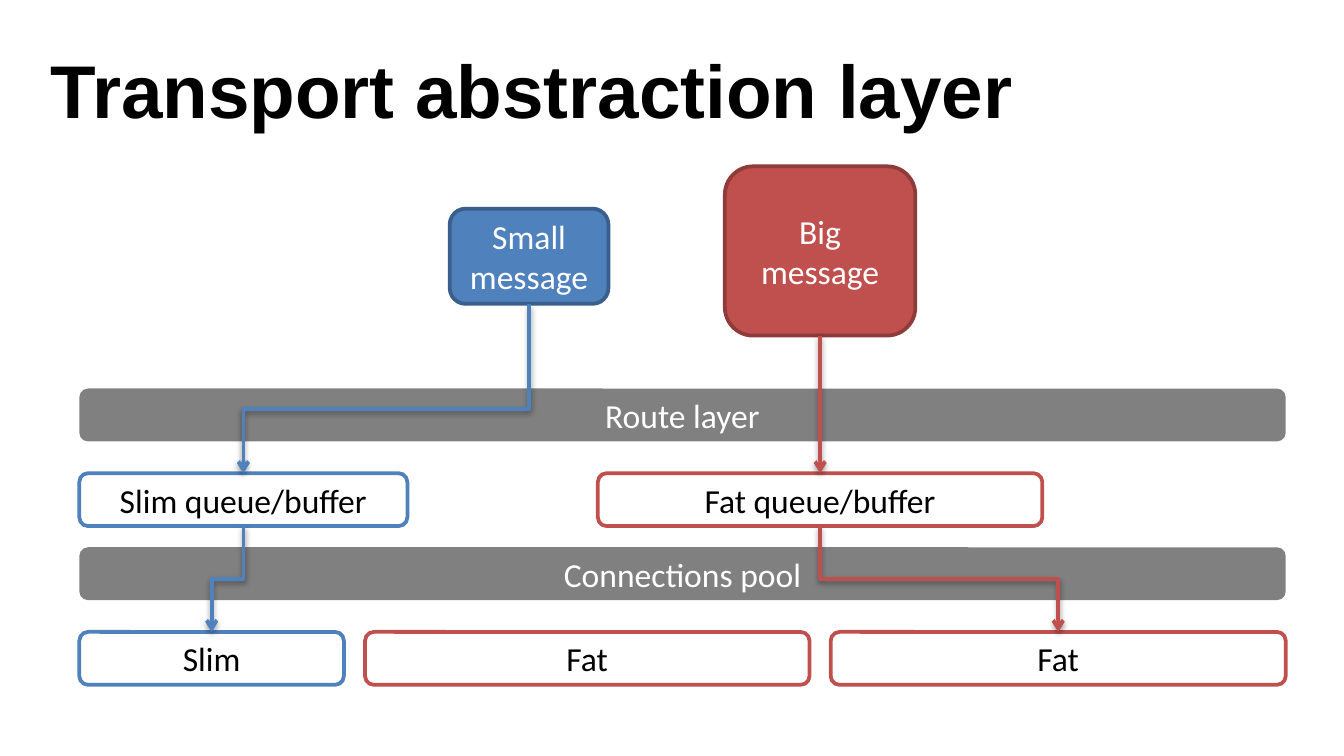
"""Build the transport abstraction layer diagram slide."""
from dataclasses import dataclass

import lxml.etree
import pptx
import pptx.dml.color
import pptx.enum.shapes
import pptx.enum.text
import pptx.oxml
import pptx.oxml.ns
import pptx.util


@dataclass(frozen=True)
class Theme:
    white: str = "FFFFFF"
    black: str = "000000"
    grey: str = "808080"
    blue: str = "4F81BD"
    dark_blue: str = "3A5F8C"
    red: str = "C0504D"
    dark_red: str = "8E3B39"
    title_font: str = "Arial"
    body_font: str = "Calibri"
    title_size: int = 40
    body_size: int = 18
    line_width: int = 2


@dataclass(frozen=True)
class Box:
    text: str
    column: int
    row: int
    columns: int
    rows: int
    fill: str
    line: str | None
    ink: str

    @property
    def center(self) -> float:
        return self.column + self.columns / 2

    @property
    def bottom(self) -> int:
        return self.row + self.rows


@dataclass(frozen=True)
class Route:
    start: Box
    end: Box
    color: str
    bend: float = 0.5


THEME = Theme()
CELL = pptx.util.Cm(0.2)
ORIGIN_COLUMN, ORIGIN_ROW = 0.5, 0.72
MARGIN, FULL_WIDTH, BAR_ROWS = 7, 114, 5


def grid_x(column: float) -> int:
    return round((ORIGIN_COLUMN + column) * CELL)


def grid_y(row: float) -> int:
    return round((ORIGIN_ROW + row) * CELL)


def rgb(color: str) -> pptx.dml.color.RGBColor:
    return pptx.dml.color.RGBColor.from_string(color)


def layer(text: str, row: int) -> Box:
    return Box(text, MARGIN, row, FULL_WIDTH, BAR_ROWS, THEME.grey, None, THEME.white)


def channel(text: str, column: int, row: int, columns: int, color: str) -> Box:
    return Box(text, column, row, columns, BAR_ROWS, THEME.white, color, THEME.black)


def style_text(text_frame, text: str, font_name: str, size: int, color: str,
               bold: bool = False) -> None:
    text_frame.word_wrap = True
    text_frame.vertical_anchor = pptx.enum.text.MSO_ANCHOR.MIDDLE
    text_frame.text = text
    font = text_frame.paragraphs[0].runs[0].font
    font.name, font.size, font.bold = font_name, pptx.util.Pt(size), bold
    font.color.rgb = rgb(color)


def draw_title(presentation, slide, text: str) -> None:
    width, height = presentation.slide_width, presentation.slide_height
    shape = slide.shapes.add_textbox(
        round(0.028 * width), round(0.05 * height),
        round(0.945 * width), round(0.135 * height))
    style_text(shape.text_frame, text, THEME.title_font, THEME.title_size,
               THEME.black, bold=True)


def draw_box(slide, box: Box) -> None:
    shape = slide.shapes.add_shape(
        pptx.enum.shapes.MSO_SHAPE.ROUNDED_RECTANGLE,
        grid_x(box.column), grid_y(box.row), box.columns * CELL, box.rows * CELL)
    shape.shadow.inherit = False
    shape.fill.solid()
    shape.fill.fore_color.rgb = rgb(box.fill)
    if box.line is None:
        shape.line.fill.background()
    else:
        shape.line.color.rgb = rgb(box.line)
        shape.line.width = pptx.util.Pt(THEME.line_width)
    style_text(shape.text_frame, box.text, THEME.body_font, THEME.body_size, box.ink)
    shape.text_frame.paragraphs[0].alignment = pptx.enum.text.PP_ALIGN.CENTER


def add_shadow(properties) -> None:
    properties.append(pptx.oxml.parse_xml(
        f'<a:effectLst {pptx.oxml.ns.nsdecls("a")}>'
        '<a:outerShdw blurRad="40000" dist="20000" dir="5400000" rotWithShape="0">'
        f'<a:srgbClr val="{THEME.black}"><a:alpha val="38000"/></a:srgbClr>'
        '</a:outerShdw></a:effectLst>'))


def draw_route(slide, route: Route) -> None:
    start_x, end_x = grid_x(route.start.center), grid_x(route.end.center)
    start_y, end_y = grid_y(route.start.bottom), grid_y(route.end.row)
    length, offset = end_y - start_y, abs(end_x - start_x)
    left = (start_x + end_x - length) // 2
    top = (start_y + end_y - offset) // 2
    connector = slide.shapes.add_connector(
        pptx.enum.shapes.MSO_CONNECTOR.ELBOW, left, top, left + length, top + offset)
    connector.line.color.rgb = rgb(route.color)
    connector.line.width = pptx.util.Pt(THEME.line_width)

    properties = connector.element.spPr
    qn = pptx.oxml.ns.qn
    transform = properties.find(qn("a:xfrm"))
    if end_x > start_x:
        transform.set("rot", "16200000")
        transform.set("flipH", "1")
    else:
        transform.set("rot", "5400000")
    adjustments = properties.find(qn("a:prstGeom")).find(qn("a:avLst"))
    lxml.etree.SubElement(adjustments, qn("a:gd"), name="adj1",
                          fmla=f"val {round(route.bend * 100000)}")
    lxml.etree.SubElement(properties.find(qn("a:ln")), qn("a:tailEnd"), type="arrow")
    add_shadow(properties)


def main() -> None:
    presentation = pptx.Presentation()
    presentation.slide_width = pptx.util.Inches(10)
    presentation.slide_height = presentation.slide_width * 9 // 16
    slide = presentation.slides.add_slide(presentation.slide_layouts[6])

    small_message = Box("Small message", 42, 19, 15, 9,
                        THEME.blue, THEME.dark_blue, THEME.white)
    big_message = Box("Big message", 68, 15, 18, 16,
                      THEME.red, THEME.dark_red, THEME.white)
    slim_queue = channel("Slim queue/buffer", MARGIN, 44, 31, THEME.blue)
    fat_queue = channel("Fat queue/buffer", 56, 44, 42, THEME.red)
    slim = channel("Slim", MARGIN, 59, 25, THEME.blue)
    middle_fat = channel("Fat", 34, 59, 42, THEME.red)
    right_fat = channel("Fat", 78, 59, 43, THEME.red)
    boxes = (slim, right_fat, middle_fat, big_message, small_message,
             layer("Connections pool", 51), layer("Route layer", 36),
             fat_queue, slim_queue)
    routes = (Route(small_message, slim_queue, THEME.blue, bend=0.62),
              Route(big_message, fat_queue, THEME.red),
              Route(fat_queue, right_fat, THEME.red),
              Route(slim_queue, slim, THEME.blue))

    draw_title(presentation, slide, "Transport abstraction layer")
    for box in boxes:
        draw_box(slide, box)
    for route in routes:
        draw_route(slide, route)
    presentation.save("out.pptx")


if __name__ == "__main__":
    main()
